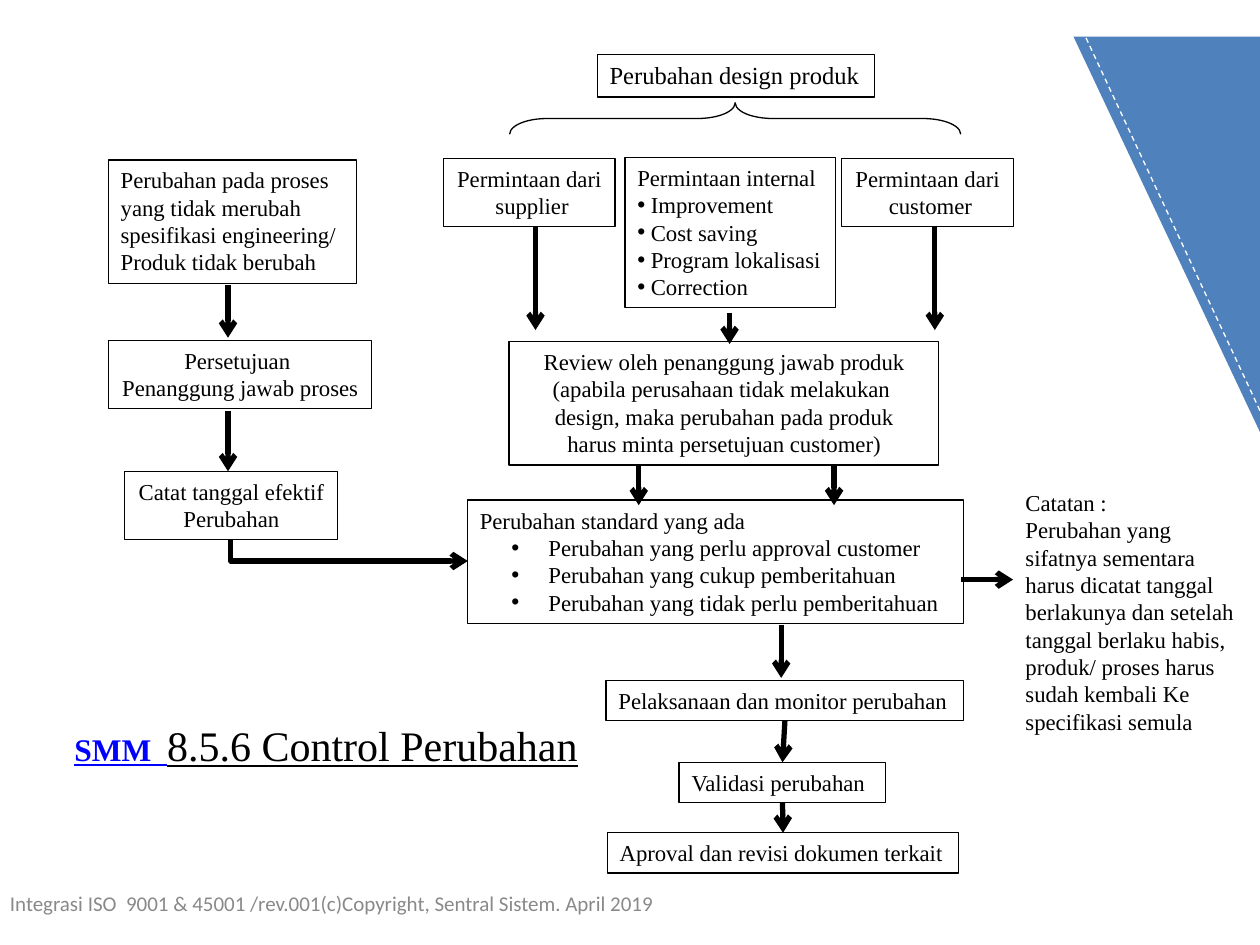
from lxml import etree
from pptx import Presentation
from pptx.dml.color import RGBColor
from pptx.enum.dml import MSO_LINE
from pptx.enum.shapes import MSO_CONNECTOR as CONNECTOR, MSO_SHAPE as SHAPE
from pptx.enum.text import MSO_ANCHOR as ANCHOR, MSO_AUTO_SIZE as AUTO, PP_ALIGN as ALIGN
from pptx.oxml.ns import qn
from pptx.util import Pt

COLORS = {"black": "000000", "white": "FFFFFF", "link": "0000FF",
          "blue": "4F81BD", "gray": "898989"}
SERIF = "Times New Roman"

# Boxes: name -> (left, top, width, height), lines, format
BOXES = {
    "design": ((341.3, 31, 158.4, 24.5), ["Perubahan design produk"], {"size": 14}),
    "supplier": ((253.4, 90.7, 98, 38.9), ["Permintaan dari", " supplier"],
                 {"align": ALIGN.CENTER}),
    "internal": ((357.1, 90, 120.2, 85.7),
                 ["Permintaan internal", " Improvement", " Cost saving",
                  " Program lokalisasi", " Correction"], {"bullet": (0, 0)}),
    "customer": ((481, 90.7, 98, 38.9), ["Permintaan dari", " customer"],
                 {"align": ALIGN.CENTER}),
    "review": ((290.9, 195.1, 245.5, 70.6),
               ["Review oleh penanggung jawab produk",
                "(apabila perusahaan tidak melakukan ",
                "design, maka perubahan pada produk",
                "harus minta persetujuan customer)"],
               {"align": ALIGN.CENTER, "wrap": True}),
    "process": ((61.9, 91.4, 141.8, 70.6),
                ["Perubahan pada proses", "yang tidak merubah",
                 "spesifikasi engineering/", "Produk tidak berubah"], {}),
    "consent": ((61.9, 194.4, 150.5, 38.9),
                ["Persetujuan ", "Penanggung jawab proses"], {"align": ALIGN.CENTER}),
    "record": ((71.3, 269.3, 121.7, 38.9),
               ["Catat tanggal efektif", "Perubahan"], {"align": ALIGN.CENTER}),
    "standard": ((267.1, 285.8, 283.7, 70.6),
                 ["Perubahan standard yang ada", " Perubahan yang perlu approval customer",
                  " Perubahan yang cukup pemberitahuan",
                  " Perubahan yang tidak perlu pemberitahuan"], {"bullet": (36, -18)}),
    "monitor": ((346.3, 388.8, 204.5, 23), ["Pelaksanaan dan monitor perubahan"], {}),
    "validation": ((388.1, 435.6, 118.1, 23), ["Validasi perubahan"], {}),
    "approval": ((347, 475.9, 200.9, 23), ["Aproval dan revisi dokumen terkait"], {}),
}
NOTE = ["Catatan :", "Perubahan yang sifatnya sementara",
        "harus dicatat tanggal berlakunya dan setelah tanggal berlaku habis,",
        "produk/ proses harus sudah kembali Ke specifikasi semula"]
FOOTER = "Integrasi ISO  9001 & 45001 /rev.001(c)Copyright, Sentral Sistem. April 2019"

# Free arrows: (x, top, bottom)
DOWN_ARROWS = [(306, 128.9, 188.6), (534.2, 128.9, 188.6), (416.9, 178.6, 196.6),
               (130.3, 162.7, 193), (130.3, 234.7, 269.3), (365, 266.4, 288.7),
               (476.6, 265.7, 288.7), (446.4, 357.1, 387.4)]
JOINED_ARROWS = [("monitor", "validation"), ("validation", "approval")]


def rgb(name):
    return RGBColor.from_string(COLORS[name])


def write_text(shape, lines, size=13, font=SERIF, color="black", align=ALIGN.LEFT,
               anchor=ANCHOR.TOP, wrap=False, bullet=None, auto=AUTO.SHAPE_TO_FIT_TEXT):
    """Fill a shape; with bullet=(margin, indent) all lines but the first get bullets."""
    frame = shape.text_frame
    frame.word_wrap = wrap
    frame.auto_size = auto
    frame.vertical_anchor = anchor
    for index, line in enumerate(lines):
        paragraph = frame.paragraphs[0] if index == 0 else frame.add_paragraph()
        paragraph.alignment = align
        if bullet and index:
            properties = paragraph._p.get_or_add_pPr()
            for key, value in zip(("marL", "indent"), bullet):
                properties.set(key, str(Pt(value)))
            etree.SubElement(properties, qn("a:buFont"), typeface="Arial")
            etree.SubElement(properties, qn("a:buChar"), char="•")
        run = paragraph.add_run()
        run.text = line
        run.font.name, run.font.size = font, Pt(size)
        run.font.color.rgb = rgb(color)


def add_outline(slide, kind, frame):
    shape = slide.shapes.add_shape(kind, *map(Pt, frame))
    shape.shadow.inherit = False
    shape.fill.background()
    shape.line.color.rgb = rgb("black")
    shape.line.width = Pt(0.75)
    return shape


def add_line(slide, ends=(0, 0, 0, 0), kind=CONNECTOR.STRAIGHT, color="black",
             width=3, arrow=True):
    line = slide.shapes.add_connector(kind, *map(Pt, ends))
    line.line.color.rgb = rgb(color)
    line.line.width = Pt(width)
    if arrow:
        etree.SubElement(line.line._get_or_add_ln(), qn("a:tailEnd"), type="arrow")
    etree.SubElement(line._element.spPr, qn("a:effectLst"))
    return line


def main():
    presentation = Presentation()
    presentation.slide_width, presentation.slide_height = Pt(720), Pt(540)
    slide = presentation.slides.add_slide(presentation.slide_layouts[5])

    # Title with a coloured lead-in
    title = slide.shapes.title
    title.left, title.top, title.width, title.height = map(Pt, (35.3, 407.5, 304.6, 36))
    write_text(title, ["SMM  ", ], size=18, color="link")
    paragraph = title.text_frame.paragraphs[0]
    paragraph.runs[0].font.bold = True
    name = paragraph.add_run()
    name.text = "8.5.6 Control Perubahan"
    name.font.name, name.font.size = SERIF, Pt(24)
    name.font.color.rgb = rgb("black")
    for run in paragraph.runs:
        run.font.underline = True

    # Corner decoration
    builder = slide.shapes.build_freeform(Pt(613.4), Pt(20.9))
    builder.add_line_segments([(Pt(720.7), Pt(20.9)), (Pt(720.7), Pt(248.4))], close=True)
    corner = builder.convert_to_shape()
    corner.shadow.inherit = False
    corner.fill.solid()
    corner.fill.fore_color.rgb = rgb("blue")
    corner.line.fill.background()
    edge = add_line(slide, (720, 234.7, 619.2, 18.7), color="white", width=0.75, arrow=False)
    edge.line.dash_style = MSO_LINE.DASH

    # Flow boxes
    boxes = {}
    for key, (frame, lines, options) in BOXES.items():
        boxes[key] = add_outline(slide, SHAPE.RECTANGLE, frame)
        write_text(boxes[key], lines, **options)

    # Brace over the three requests
    brace = add_outline(slide, SHAPE.RIGHT_BRACE, (411.1, -61.2, 18, 257.8))
    brace.rotation = 270
    brace.adjustments[0], brace.adjustments[1] = 1.194, 0.5

    # Arrows
    for x, top, bottom in DOWN_ARROWS:
        add_line(slide, (x, top, x, bottom))
    add_line(slide, (549.4, 331.2, 578.9, 331.2))
    for start, end in JOINED_ARROWS:
        arrow = add_line(slide)
        arrow.begin_connect(boxes[start], 2)
        arrow.end_connect(boxes[end], 0)

    # Elbow from the record box: one bend, down and then right
    elbow = add_line(slide, kind=CONNECTOR.ELBOW)
    elbow.begin_connect(boxes["record"], 2)
    elbow.end_connect(boxes["standard"], 1)
    elbow.left, elbow.top, elbow.width, elbow.height = map(Pt, (193.5, 246.8, 12.2, 135.4))
    transform = elbow._element.spPr.find(qn("a:xfrm"))
    transform.set("rot", str(270 * 60000))
    transform.set("flipH", "1")
    elbow._element.spPr.find(qn("a:prstGeom")).set("prst", "bentConnector2")

    # Side note and footer
    note = slide.shapes.add_textbox(*map(Pt, (578.9, 275.8, 138.2, 149)))
    write_text(note, NOTE, wrap=True)
    footer = slide.shapes.add_textbox(*map(Pt, (-1.4, 501.8, 385.9, 28.8)))
    write_text(footer, [FOOTER], size=12, font="Calibri", color="gray",
               anchor=ANCHOR.MIDDLE, wrap=True, auto=AUTO.NONE)

    presentation.save("out.pptx")


if __name__ == "__main__":
    main()
